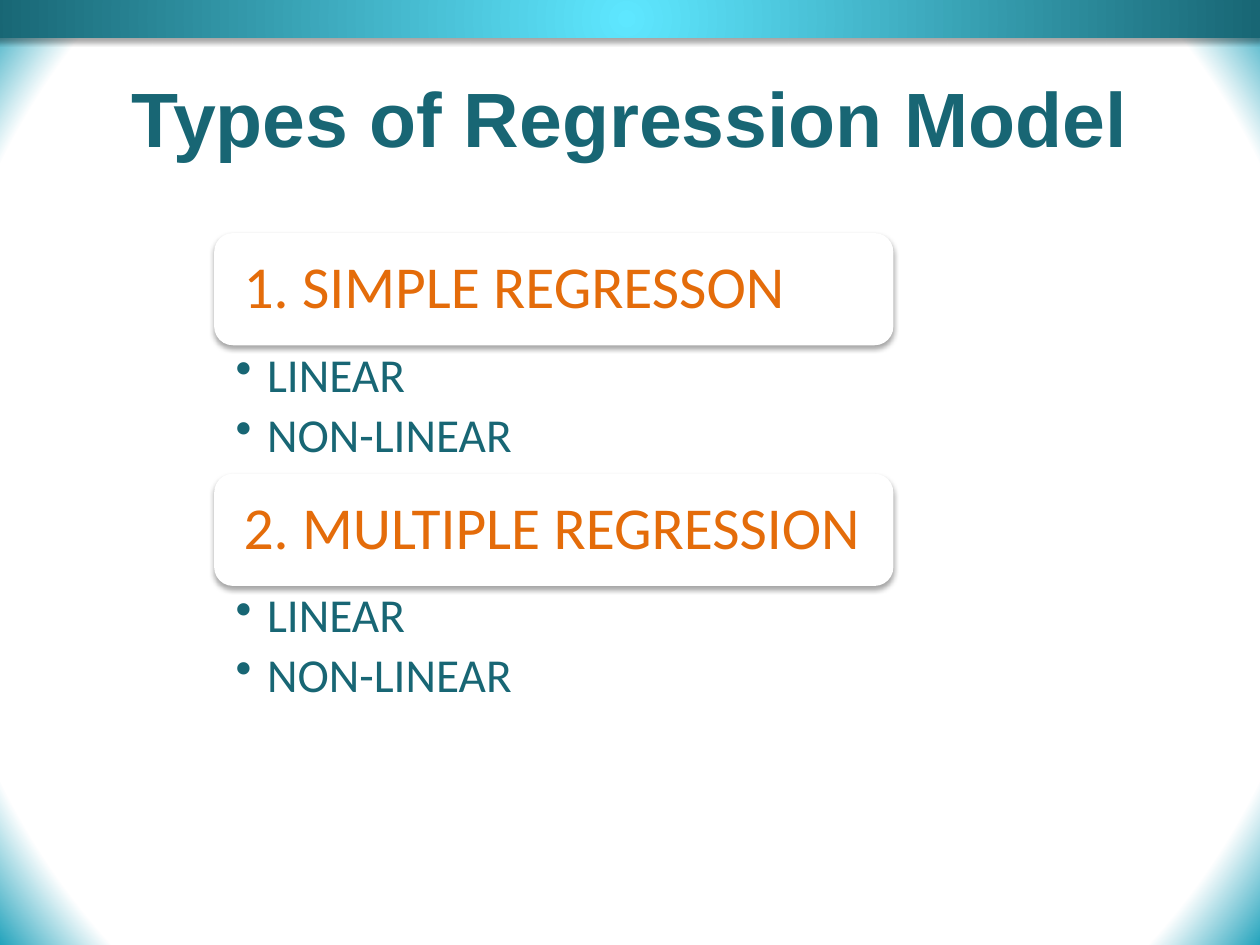
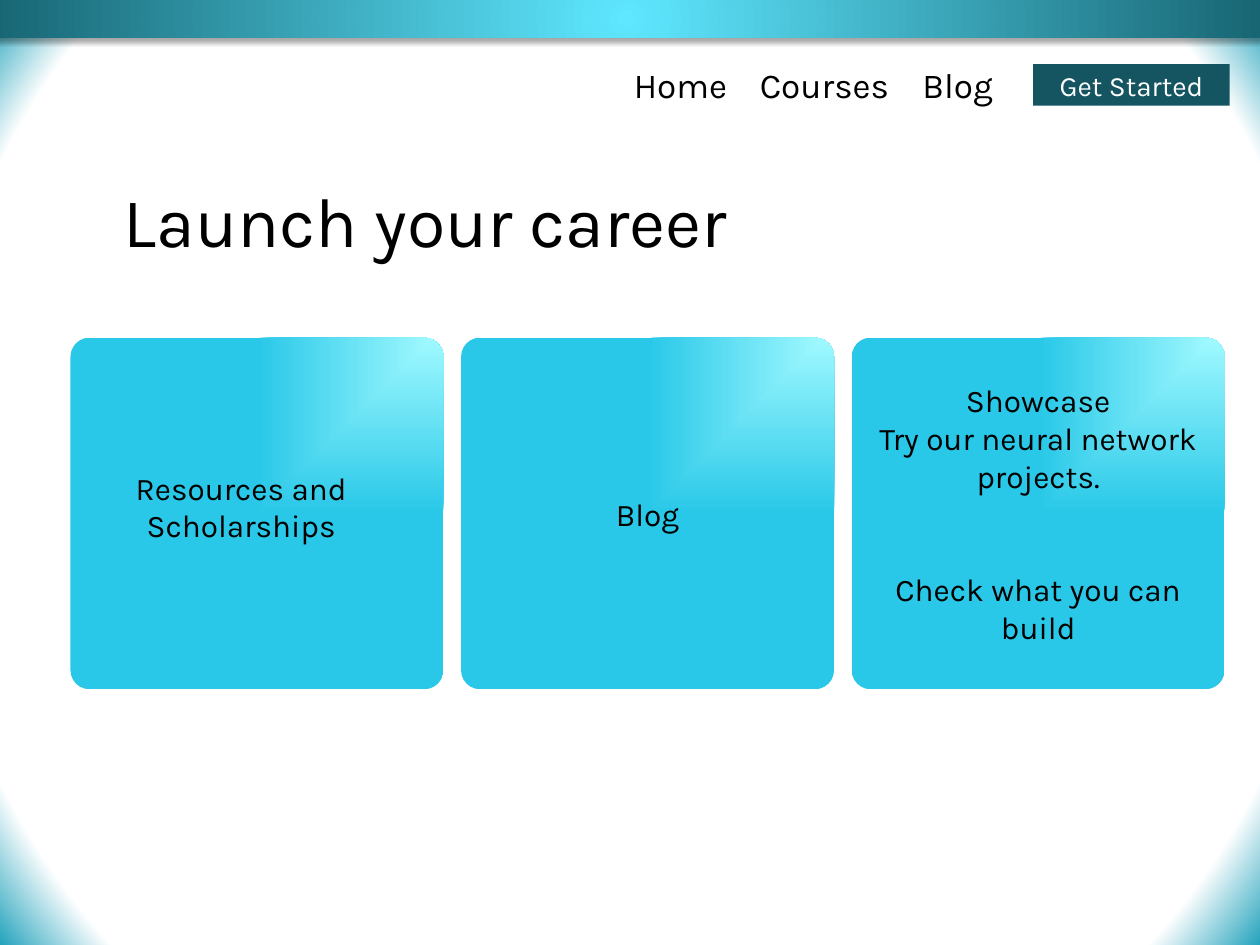
from dataclasses import dataclass

from lxml.etree import SubElement
from pptx import Presentation
from pptx.dml.color import RGBColor
from pptx.enum.shapes import MSO_SHAPE as Shape
from pptx.enum.text import MSO_ANCHOR as Anchor, MSO_AUTO_SIZE as AutoSize, PP_ALIGN as Align
from pptx.oxml import parse_xml
from pptx.oxml.ns import nsdecls, qn
from pptx.util import Inches, Pt


@dataclass(frozen=True)
class Theme:
    teal: str = "186674"
    orange: str = "E46C0A"
    white: str = "FFFFFF"
    black: str = "000000"
    button: str = "145561"
    edge: tuple = ((89, "FFFFFF"), (100, "23A3BC"))
    band: tuple = ((0, "5EE7FF"), (100, "186674"))
    tile: tuple = ((0, "A0F9FF"), (100, "29C8E8"))
    center: tuple = ("circle", 50, 50, 50, 50)
    corner: tuple = ("rect", 100, 0, 0, 100)
    title_font: str = "Arial"
    list_font: str = "Calibri"
    page_font: str = "Karla"
    title_size: float = 44
    hero_size: float = 40
    heading_size: float = 34
    bullet_size: float = 27
    nav_size: float = 20
    tile_size: float = 18
    button_size: float = 16


COLUMNS, ROWS = 40, 30
TIGHT = (0.05, 0.02, 0.05, 0.02)


def gradient(stops, direction):
    kind, left, top, right, bottom = direction
    stop_xml = "".join(
        f'<a:gs pos="{share * 1000}"><a:srgbClr val="{color}"/></a:gs>' for share, color in stops)
    return parse_xml(
        f'<a:gradFill {nsdecls("a")} rotWithShape="1"><a:gsLst>{stop_xml}</a:gsLst>'
        f'<a:path path="{kind}"><a:fillToRect l="{left * 1000}" t="{top * 1000}" '
        f'r="{right * 1000}" b="{bottom * 1000}"/></a:path></a:gradFill>')


class Painter:
    def __init__(self, deck, theme):
        self.deck, self.theme, self.page = deck, theme, None

    def new_page(self):
        self.page = self.deck.slides.add_slide(self.deck.slide_layouts[5])

    def place(self, col, row, cols, rows):
        width, height = self.deck.slide_width / COLUMNS, self.deck.slide_height / ROWS
        return [round(n) for n in (col * width, row * height, cols * width, rows * height)]

    def set_gradient(self, fill, parent, stops, direction):
        fill.gradient()
        old = parent.find(qn("a:gradFill"))
        parent.replace(old, gradient(stops, direction))

    def shape(self, kind, area, fill, direction=None, shadow=False, corner=None):
        shape = self.page.shapes.add_shape(kind, *self.place(*area))
        shape.shadow.inherit = False
        shape.line.fill.background()
        properties = shape._element.spPr
        if direction:
            self.set_gradient(shape.fill, properties, fill, direction)
        else:
            shape.fill.solid()
            shape.fill.fore_color.rgb = RGBColor.from_string(fill)
        if corner is not None:
            shape.adjustments[0] = corner
        if shadow:
            properties.find(qn("a:effectLst")).append(parse_xml(
                f'<a:outerShdw {nsdecls("a")} blurRad="39000" dist="23000" dir="5400000" '
                'rotWithShape="0"><a:srgbClr val="000000"><a:alpha val="35000"/>'
                '</a:srgbClr></a:outerShdw>'))
        return shape

    def text_box(self, area):
        return self.page.shapes.add_textbox(*self.place(*area))

    def set_text(self, box, lines, size, font, color, align=Align.CENTER, anchor=Anchor.MIDDLE,
                 inset=TIGHT, bold=False, bullet=False, tabs=(), before=None, after=None,
                 leading=None):
        frame = box.text_frame
        frame.auto_size = AutoSize.NONE
        frame.word_wrap = True
        frame.vertical_anchor = anchor
        frame.margin_left, frame.margin_top, frame.margin_right, frame.margin_bottom = map(Inches, inset)
        for index, line in enumerate(lines):
            para = frame.add_paragraph() if index else frame.paragraphs[0]
            para.alignment = align
            if leading:
                para.line_spacing = leading
            if before and index in before:
                para.space_before = Pt(before[index])
            if after:
                para.space_after = Pt(after)
            self.mark(para, bullet, tabs)
            span = para.add_run()
            span.text = line
            span.font.size = Pt(size)
            span.font.name = font
            span.font.bold = bold
            span.font.color.rgb = RGBColor.from_string(color)

    def mark(self, para, bullet, tabs):
        properties = para._p.get_or_add_pPr()
        if bullet:
            properties.set("marL", str(Inches(0.25)))
            properties.set("indent", str(-Inches(0.25)))
            SubElement(properties, qn("a:buChar"), char="•")
        if tabs:
            stops = SubElement(properties, qn("a:tabLst"))
            for stop in tabs:
                SubElement(stops, qn("a:tab"), pos=str(Inches(stop)), algn="l")

    def title(self, text, area, size, font, color, bold=False):
        box = self.page.shapes.title
        box.left, box.top, box.width, box.height = self.place(*area)
        self.set_text(box, [text], size, font, color, bold=bold)

    def dress_master(self):
        master, theme = self.deck.slide_master, self.theme
        fill = master.background.fill
        fill.gradient()
        self.set_gradient(fill, master._element.cSld.bg.bgPr, theme.edge, theme.center)
        band = self.shape(Shape.RECTANGLE, (-0.2, 0, 40.2, 1.2), theme.band, theme.center, shadow=True)
        band._element.nvSpPr.cNvPr.set("id", "20")
        master.shapes._spTree.insert(2, band._element)


def regression_types(painter):
    theme = painter.theme
    painter.title("Types of Regression Model", (2, 1.2, 36, 5), theme.title_size,
                  theme.title_font, theme.teal, bold=True)
    left, top, width, card_height, list_height = 6.8, 7.4, 21.56, 3.56, 4.08
    for index, heading in enumerate(("1. SIMPLE REGRESSON", "2. MULTIPLE REGRESSION")):
        row = top + index * (card_height + list_height)
        card = painter.shape(Shape.ROUNDED_RECTANGLE, (left, row, width, card_height),
                             theme.white, shadow=True)
        painter.set_text(card, [heading], theme.heading_size, theme.list_font, theme.orange,
                         align=Align.LEFT, inset=(0.19, 0.14, 0.19, 0.14), leading=0.9)
        models = painter.text_box((left, row + card_height, width, list_height))
        painter.set_text(models, ["LINEAR", "NON-LINEAR"], theme.bullet_size, theme.list_font,
                         theme.teal, align=Align.LEFT, anchor=Anchor.TOP,
                         inset=(0.17, 0.05, 0.26, 0.05), bullet=True, after=5, leading=0.9)


def career_page(painter):
    theme = painter.theme
    font = theme.page_font
    painter.title("Launch your career", (0, 5.64, 27, 2.64), theme.hero_size, font, theme.black)
    menu = painter.text_box((19.92, 1.36, 12.6, 2.64))
    painter.set_text(menu, ["Home\tCourses\tBlog"], theme.nav_size, font, theme.black,
                     align=Align.LEFT, tabs=(1, 2.29))
    button = painter.shape(Shape.RECTANGLE, (32.8, 2.04, 6.24, 1.32), theme.button)
    painter.set_text(button, ["Get Started"], theme.button_size, font, theme.white)

    resources, blog, showcase = [
        painter.shape(Shape.ROUNDED_RECTANGLE, (2.24 + index * 12.4, 10.72, 11.84, 11.16),
                      theme.tile, theme.corner, corner=0.054)
        for index in range(3)]
    resources_label = painter.text_box((3.4, 11.8, 8.52, 8.56))
    painter.set_text(resources_label, ["Resources and Scholarships"], theme.tile_size, font,
                     theme.black)
    painter.set_text(blog, ["Blog"], theme.tile_size, font, theme.black)
    painter.set_text(showcase,
                     ["Showcase", "Try our neural network projects.", "Check what you can build"],
                     theme.tile_size, font, theme.black, before={2: 43})


def main():
    deck = Presentation()
    deck.slide_width, deck.slide_height = Inches(10), Inches(7.5)
    painter = Painter(deck, Theme())
    painter.new_page()
    painter.dress_master()
    regression_types(painter)
    painter.new_page()
    career_page(painter)
    deck.save("out.pptx")


if __name__ == "__main__":
    main()
